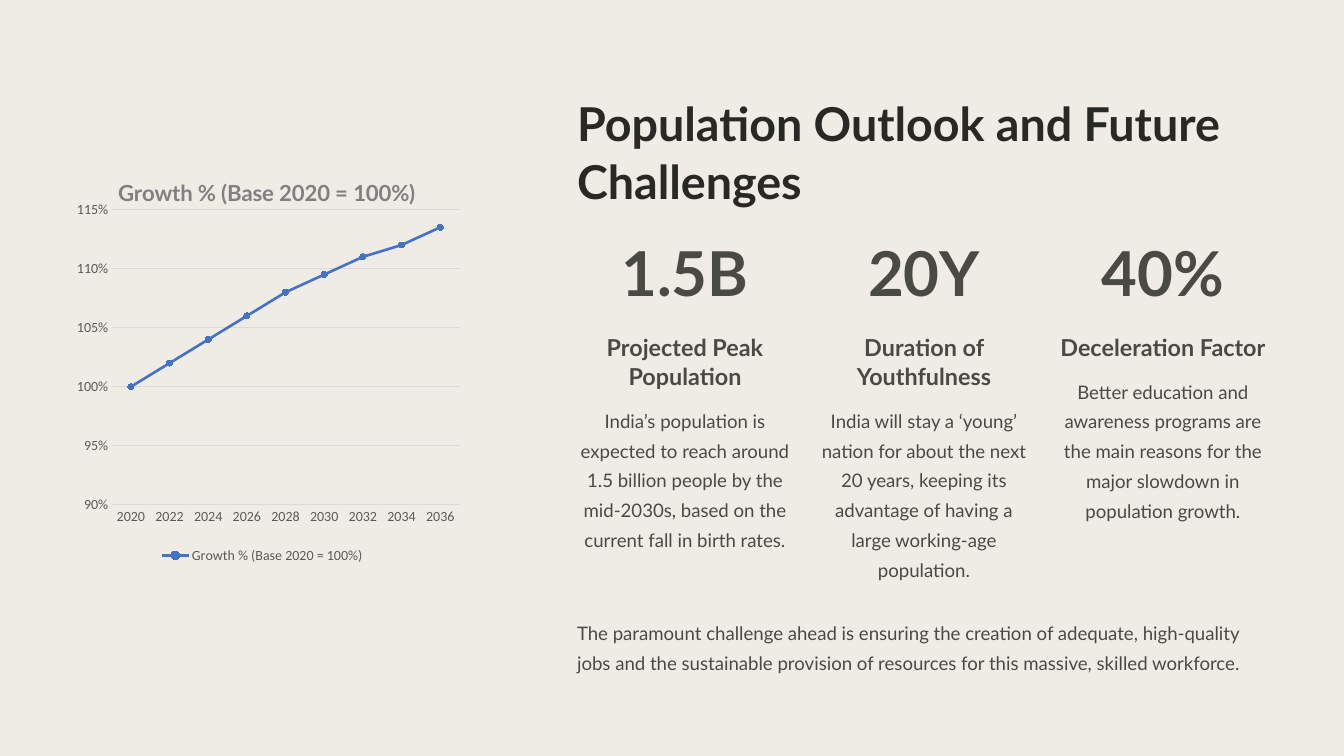
from lxml.etree import SubElement
from pptx import Presentation
from pptx.chart.data import CategoryChartData
from pptx.dml.color import RGBColor
from pptx.enum.chart import (XL_CHART_TYPE, XL_LEGEND_POSITION, XL_MARKER_STYLE,
                             XL_TICK_MARK)
from pptx.enum.text import PP_ALIGN
from pptx.oxml import parse_xml
from pptx.oxml.ns import nsdecls, qn
from pptx.util import Inches, Pt

# Content
TITLE = "Population Outlook and Future Challenges"
STATS = [
    ("1.5B", "Projected Peak Population", 2,
     "India’s population is expected to reach around 1.5 billion people by "
     "the mid-2030s, based on the current fall in birth rates."),
    ("20Y", "Duration of Youthfulness", 2,
     "India will stay a ‘young’ nation for about the next 20 years, keeping "
     "its advantage of having a large working-age population."),
    ("40%", "Deceleration Factor", 1,
     "Better education and awareness programs are the main reasons for the "
     "major slowdown in population growth."),
]
CLOSING = ("The paramount challenge ahead is ensuring the creation of adequate, "
           "high-quality jobs and the sustainable provision of resources for "
           "this massive, skilled workforce.")
GROWTH = "Growth % (Base 2020 = 100%)"
YEARS = [str(year) for year in range(2020, 2037, 2)]
VALUES = [1, 1.02, 1.04, 1.06, 1.08, 1.095, 1.11, 1.12, 1.135]

# Colours
PAPER = RGBColor(0xEF, 0xEC, 0xE6)
INK = RGBColor(0x28, 0x28, 0x24)
BODY = RGBColor(0x4A, 0x4A, 0x45)
BLUE = RGBColor(0x44, 0x72, 0xC4)
GRID = RGBColor(0xD9, 0xD9, 0xD9)
LABEL = RGBColor(0x59, 0x59, 0x59)
GREY = RGBColor(0x80, 0x80, 0x80)

# Grid, in inches
LEFT, WIDTH = 6.87, 8.26
COL, STEP = 2.57, 2.845
HEAD_TOP, HEAD_LINE, GAP, STAT_END = 3.95, 0.35, 0.14, 6.93


def style(font, size, color, name="Lato", bold=False):
    font.size, font.name, font.bold = Pt(size), name, bold
    font.color.rgb = color


def write(slide, text, box, size, lead, color=BODY, bold=False, align=PP_ALIGN.LEFT):
    frame = slide.shapes.add_textbox(*map(Inches, box)).text_frame
    frame.margin_left = frame.margin_right = 0
    frame.margin_top = frame.margin_bottom = 0
    frame.word_wrap = True
    frame.text = text
    para = frame.paragraphs[0]
    para.alignment, para.line_spacing = align, Pt(lead)
    style(para.runs[0].font, size, color, bold=bold)


def place(parent, index, **parts):
    """Give a chart part a fixed place, in shares of the chart."""
    for old in parent.findall(qn("c:layout")):
        parent.remove(old)
    layout = parse_xml(f"<c:layout {nsdecls('c')}><c:manualLayout/></c:layout>")
    for tag, value in parts.items():
        SubElement(layout[0], qn(f"c:{tag}")).set("val", str(value))
    parent.insert(index, layout)


def draw_chart(slide):
    data = CategoryChartData(number_format="0%")
    data.categories = YEARS
    data.add_series(GROWTH, VALUES)
    box = map(Inches, (0.67, 1.86, 4.91, 4.89))
    chart = slide.shapes.add_chart(XL_CHART_TYPE.LINE_MARKERS, *box, data).chart
    style(chart.font, 12, LABEL, "Calibri")

    # Chart title, legend and plot area
    frame = chart.chart_title.text_frame
    frame.text = GROWTH
    style(frame.paragraphs[0].runs[0].font, 19, GREY, bold=True)
    chart.chart_title.include_in_layout = False
    chart.has_legend = True
    chart.legend.position = XL_LEGEND_POSITION.BOTTOM
    chart.legend.include_in_layout = False
    style(chart.legend.font, 12, LABEL, "Calibri")
    title = chart.chart_title.format and chart.element.find(".//" + qn("c:title"))
    place(title, 1, xMode="edge", yMode="edge", x=0.14, y=0.04)
    place(chart.element.find(".//" + qn("c:plotArea")), 0, layoutTarget="inner",
          xMode="edge", yMode="edge", x=0.134, y=0.13, w=0.844, h=0.719)

    # Axes
    years, share = chart.category_axis, chart.value_axis
    for axis in (years, share):
        axis.major_tick_mark = axis.minor_tick_mark = XL_TICK_MARK.NONE
        style(axis.tick_labels.font, 12, LABEL, "Calibri")
    share.minimum_scale, share.maximum_scale, share.major_unit = 0.9, 1.15, 0.05
    share.tick_labels.number_format = "0%"
    share.tick_labels.number_format_is_linked = False
    share.format.line.fill.background()
    for line in (years.format.line, share.major_gridlines.format.line):
        line.color.rgb, line.width = GRID, Pt(0.75)

    # Line and markers
    chart.plots[0].vary_by_categories = False
    series = chart.plots[0].series[0]
    series.smooth = False
    series.format.line.color.rgb, series.format.line.width = BLUE, Pt(2.25)
    marker = series.marker
    marker.style, marker.size = XL_MARKER_STYLE.CIRCLE, 5
    marker.format.fill.solid()
    marker.format.fill.fore_color.rgb = BLUE
    marker.format.line.color.rgb = BLUE


def main():
    deck = Presentation()
    deck.slide_width, deck.slide_height = Inches(16), Inches(9)
    slide = deck.slides.add_slide(deck.slide_layouts[6])
    slide.background.fill.solid()
    slide.background.fill.fore_color.rgb = PAPER

    # Title and closing line
    write(slide, TITLE, (LEFT, 1.1, WIDTH, 1.4), 40, 50, INK, True)
    write(slide, CLOSING, (LEFT, 7.32, WIDTH, 0.71), 16, 25.5)

    # Three columns of figures
    mid = PP_ALIGN.CENTER
    for col, (figure, head, lines, text) in enumerate(STATS):
        x = LEFT + col * STEP
        high = lines * HEAD_LINE
        top = HEAD_TOP + high + GAP
        write(slide, figure, (x, 2.94, COL, 0.74), 53, 53, bold=True, align=mid)
        write(slide, head, (x, HEAD_TOP, COL, high), 20, 25, bold=True, align=mid)
        write(slide, text, (x, top, COL, STAT_END - top), 16, 25.5, align=mid)

    draw_chart(slide)
    deck.save("out.pptx")


if __name__ == "__main__":
    main()
